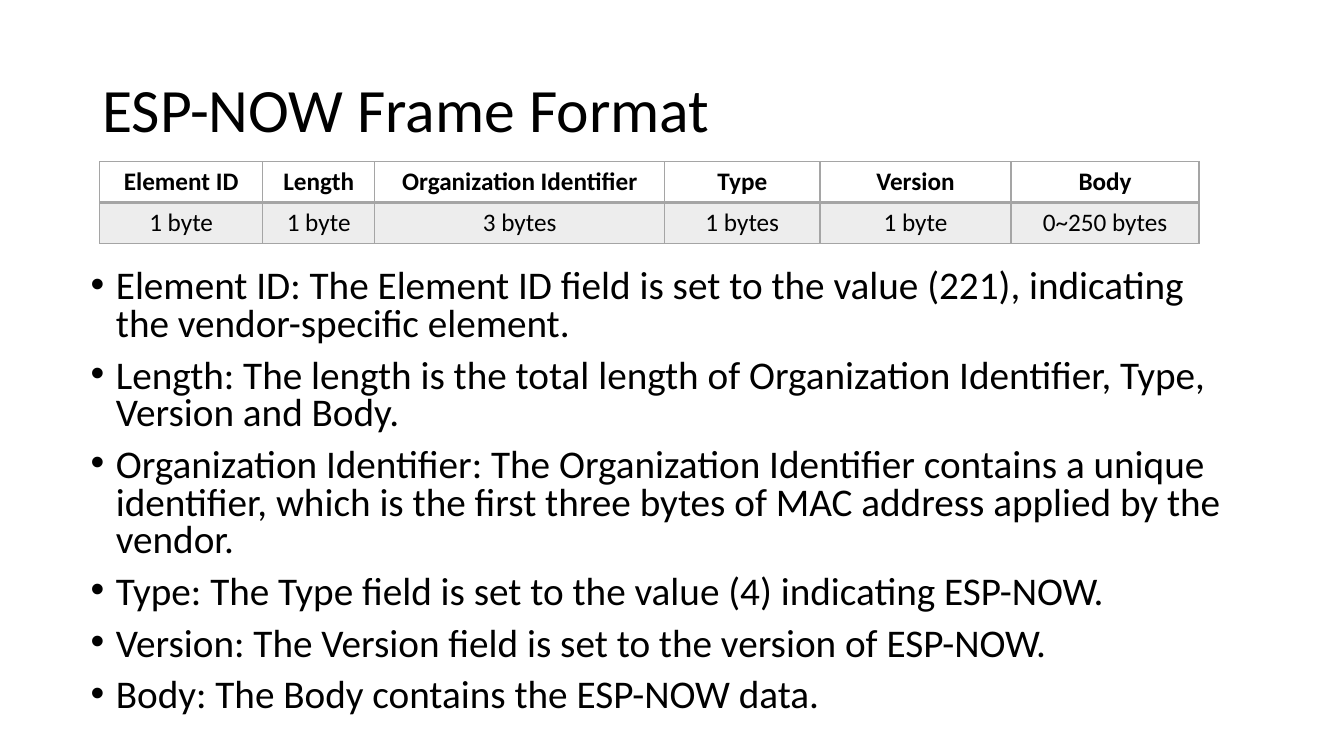
from lxml.etree import SubElement
from pptx import Presentation
from pptx.dml.color import RGBColor as RGB
from pptx.enum.text import MSO_ANCHOR as Anchor, PP_ALIGN as Align
from pptx.oxml import parse_xml
from pptx.oxml.ns import nsdecls, qn
from pptx.util import Pt

PX = 9525
COLORS = {"text": "000000", "border": "A5A5A5", "band": "EDEDED"}
FIELDS = [
    ("Element ID", "1 byte", 155),
    ("Length", "1 byte", 107),
    ("Organization Identifier", "3 bytes", 276),
    ("Type", "1 bytes", 148),
    ("Version", "1 byte", 182),
    ("Body", "0~250 bytes", 179),
]
NOTES = [
    "Element ID: The Element ID field is set to the value (221), indicating the vendor-specific element.",
    "Length: The length is the total length of Organization Identifier, Type, Version and Body.",
    "Organization Identifier: The Organization Identifier contains a unique identifier, "
    "which is the first three bytes of MAC address applied by the vendor.",
    "Type: The Type field is set to the value (4) indicating ESP-NOW.",
    "Version: The Version field is set to the version of ESP-NOW.",
    "Body: The Body contains the ESP-NOW data.",
]


class Deck:
    """Holds the style and the current slide, and draws each kind of element."""

    def __init__(self, width, height, font="Calibri"):
        self.prs = Presentation()
        self.prs.slide_width, self.prs.slide_height = width * PX, height * PX
        self.s = self.prs.slides.add_slide(self.prs.slide_layouts[6])
        self.font = font

    def style(self, p, size, bold=False):
        for r in p.runs:
            r.font.name, r.font.size, r.font.bold = self.font, Pt(size), bold
            r.font.color.rgb = RGB.from_string(COLORS["text"])

    def text(self, x, y, w, h, lines, size, spacing, anchor=Anchor.TOP, bullets=False):
        tf = self.s.shapes.add_textbox(x * PX, y * PX, w * PX, h * PX).text_frame
        tf.word_wrap, tf.vertical_anchor = True, anchor
        tf.text = "\n".join(lines)
        for i, p in enumerate(tf.paragraphs):
            p.line_spacing = spacing
            if i:
                p.space_before = Pt(10)
            if bullets:
                self.bullet(p)
            self.style(p, size)

    def bullet(self, p, indent=24):
        pPr = p._p.get_or_add_pPr()
        pPr.set("marL", str(indent * PX))
        pPr.set("indent", str(-indent * PX))
        SubElement(pPr, qn("a:buFont")).set("typeface", "Arial")
        SubElement(pPr, qn("a:buChar")).set("char", "•")

    def borders(self, cell, bottom):
        tcPr = cell._tc.get_or_add_tcPr()
        for i, (side, width) in enumerate(zip("LRTB", (1, 1, 1, bottom))):
            tcPr.insert(i, parse_xml(
                f'<a:ln{side} {nsdecls("a")} w="{Pt(width)}"><a:solidFill>'
                f'<a:srgbClr val="{COLORS["border"]}"/></a:solidFill></a:ln{side}>'))

    def table(self, x, y, row_height, rows, widths, size):
        frame = self.s.shapes.add_table(len(rows), len(widths), x * PX, y * PX,
                                        sum(widths) * PX, len(rows) * row_height * PX)
        table = frame.table
        table.horz_banding = False
        for col, width in zip(table.columns, widths):
            col.width = width * PX
        for i, row in enumerate(rows):
            for j, value in enumerate(row):
                cell = table.cell(i, j)
                cell.text = value
                p = cell.text_frame.paragraphs[0]
                p.alignment = Align.CENTER
                self.style(p, size, bold=i == 0)
                if i:
                    cell.fill.solid()
                    cell.fill.fore_color.rgb = RGB.from_string(COLORS["band"])
                else:
                    cell.fill.background()
                self.borders(cell, bottom=1 if i else 2)


def main():
    deck = Deck(1280, 720)
    deck.text(88, 38, 1104, 139, ["ESP-NOW Frame Format"], 44, 0.9, Anchor.MIDDLE)
    deck.text(77, 252, 1104, 457, NOTES, 28, 0.8, bullets=True)
    names, sizes, widths = zip(*FIELDS)
    deck.table(95, 154, 39, [names, sizes], widths, 18)
    deck.prs.save("out.pptx")


if __name__ == "__main__":
    main()
